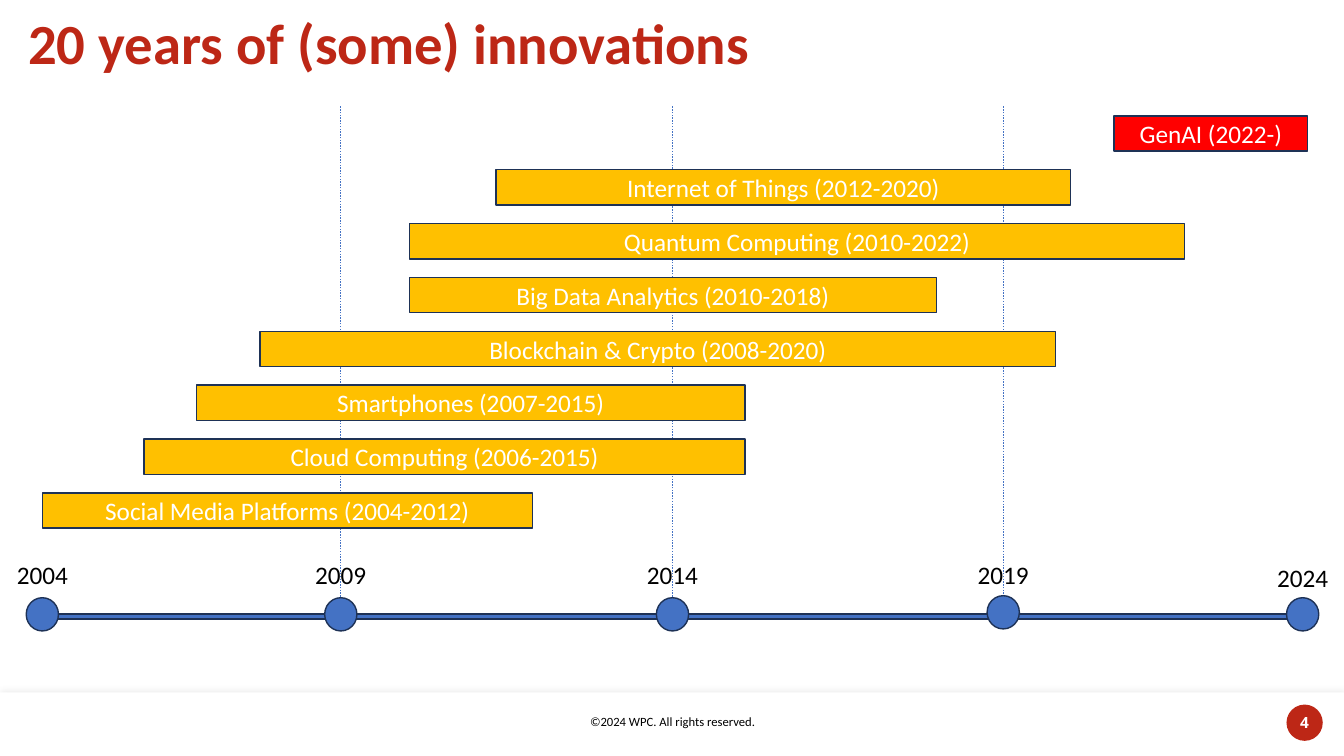
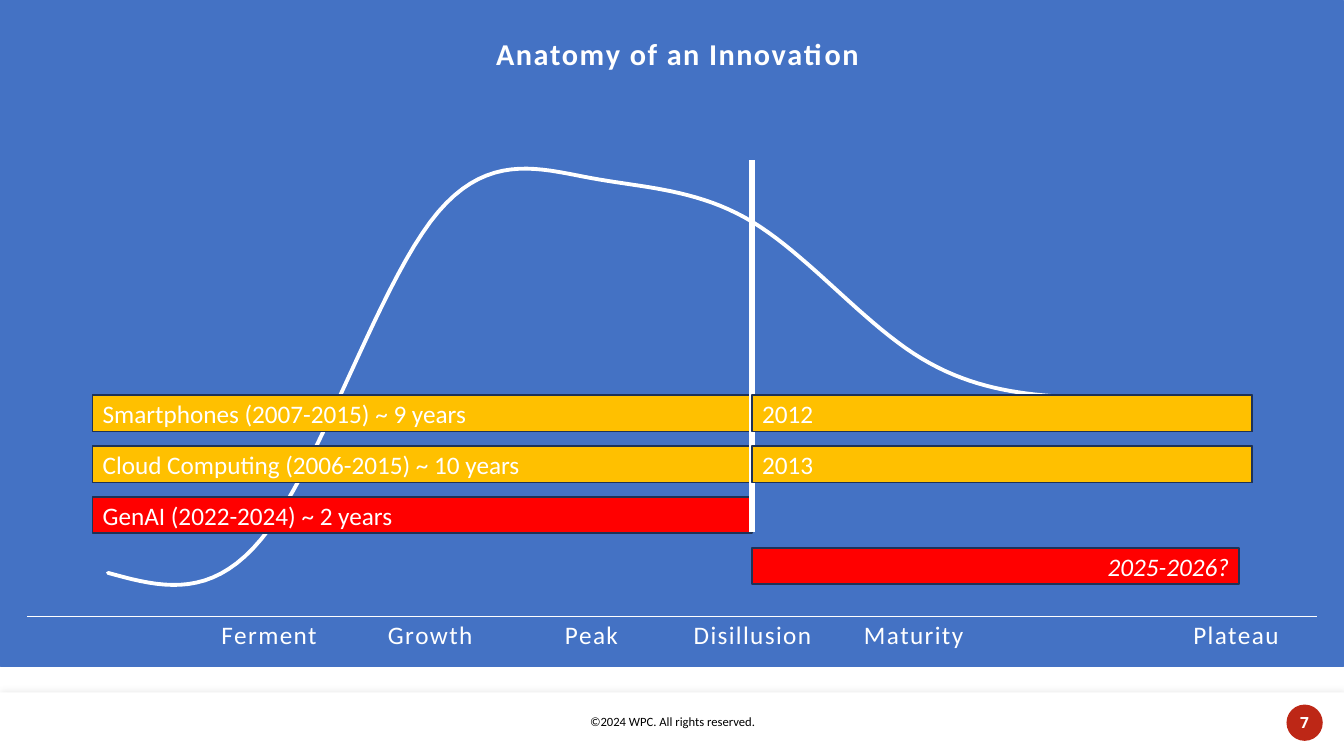
"""Build two slides on the timing of innovations: a timeline and an adoption curve."""
from lxml import etree
from pptx import Presentation
from pptx.chart.data import CategoryChartData
from pptx.dml.color import RGBColor
from pptx.enum import chart as charts, dml, shapes, text
from pptx.oxml import parse_xml
from pptx.oxml.ns import nsdecls, qn
from pptx.util import Inches, Pt

WHITE = RGBColor(0xFF, 0xFF, 0xFF)
BLACK = RGBColor(0, 0, 0)
BRAND = RGBColor(0xBD, 0x27, 0x16)
BLUE = RGBColor(0x44, 0x72, 0xC4)
NAVY = RGBColor(0x1E, 0x32, 0x56)
GOLD = RGBColor(0xFF, 0xC0, 0x00)
RED = RGBColor(0xFF, 0x00, 0x00)

RECT = shapes.MSO_SHAPE.RECTANGLE
OVAL = shapes.MSO_SHAPE.OVAL
LEFT, CENTER, RIGHT = text.PP_ALIGN.LEFT, text.PP_ALIGN.CENTER, text.PP_ALIGN.RIGHT
MIDDLE, TOP = text.MSO_ANCHOR.MIDDLE, text.MSO_ANCHOR.TOP

TITLE_STYLE = {"size": Pt(40.5), "name": "Calibri", "bold": True}
BAR_STYLE = {"size": Pt(18), "name": "Calibri"}
GUESS_STYLE = {**BAR_STYLE, "italic": True}
FOOTER_STYLE = {"size": Pt(9), "name": "Calibri"}
NUMBER_STYLE = {"size": Pt(11), "name": "Open Sans", "bold": True}
CHART_TITLE_STYLE = {"size": Pt(21.6), "name": "Calibri", "bold": True}

FOOTER = "©2024 WPC. All rights reserved."

TIMELINE_TITLE = "20 years of (some) innovations"
MILESTONES = [
    ("2004", 0.42, 5.5, 5.93),
    ("2009", 3.38, 5.5, 5.93),
    ("2014", 6.67, 5.5, 5.93),
    ("2019", 9.95, 5.5, 5.91),
    ("2024", 12.92, 5.53, 5.93),
]
ERAS = [
    ("GenAI (2022-)", 11.05, 1.92, RED),
    ("Internet of Things (2012-2020)", 4.92, 5.7, GOLD),
    ("Quantum Computing (2010-2022)", 4.06, 7.69, GOLD),
    ("Big Data Analytics (2010-2018)", 4.06, 5.23, GOLD),
    ("Blockchain & Crypto (2008-2020)", 2.58, 7.89, GOLD),
    ("Smartphones (2007-2015)", 1.95, 5.44, GOLD),
    ("Cloud Computing (2006-2015)", 1.43, 5.96, GOLD),
    ("Social Media Platforms (2004-2012)", 0.42, 4.86, GOLD),
]
ERA_FIRST, ERA_LAST, ERA_HEIGHT = 1.15, 4.89, 0.35

CURVE_TITLE = "Anatomy of an Innovation"
CURVE = [
    ("", 10), ("Ferment", 20), ("Growth", 90), ("Peak", 100),
    ("Disillusion", 90), ("Maturity", 60), ("", 50), ("Plateau", 50),
]
SPLIT = 7.46
SPAN_LEFT = 0.92
SPANS = [
    ("Smartphones (2007-2015) ~ 9 years", 11.5, GOLD),
    ("Cloud Computing (2006-2015) ~ 10 years", 11.5, GOLD),
    ("GenAI (2022-2024) ~ 2 years", 6.54, RED),
]
TURNS = [
    ("2012", 0, 4.96, GOLD, LEFT, BAR_STYLE),
    ("2013", 1, 4.96, GOLD, LEFT, BAR_STYLE),
    ("2025-2026?", 3, 4.83, RED, RIGHT, GUESS_STYLE),
]
SPAN_TOP, SPAN_STEP, SPAN_HEIGHT = 3.92, 0.505, 0.36


def style_font(font, style, color):
    """Apply a dict of font values and a colour."""
    for name, value in style.items():
        setattr(font, name, value)
    font.color.rgb = color


def write(shape, content, style, color, align=CENTER, anchor=MIDDLE):
    """Put one formatted paragraph in a shape."""
    frame = shape.text_frame
    frame.word_wrap = True
    frame.vertical_anchor = anchor
    para = frame.paragraphs[0]
    para.alignment = align
    span = para.add_run()
    span.text = content
    style_font(span.font, style, color)
    return para


def add_shape(page, kind, box, fill, outline=None):
    """Add a filled shape without a theme shadow."""
    shape = page.shapes.add_shape(kind, *map(Inches, box))
    shape.shadow.inherit = False
    shape.fill.solid()
    shape.fill.fore_color.rgb = fill
    if outline is None:
        shape.line.fill.background()
    else:
        shape.line.color.rgb = outline
        shape.line.width = Pt(1)
    return shape


def add_bar(page, content, box, fill, align=CENTER, style=BAR_STYLE):
    """Add a labelled period bar."""
    write(add_shape(page, RECT, box, fill, NAVY), content, style, WHITE, align)


def add_label(page, content, box, style):
    """Add a centred black text box."""
    label = page.shapes.add_textbox(*map(Inches, box))
    write(label, content, style, BLACK, anchor=TOP)


def add_vertical(page, x, bottom, top, color, width, dash=None):
    """Add a vertical line."""
    line = page.shapes.add_connector(
        shapes.MSO_CONNECTOR.STRAIGHT, *map(Inches, (x, bottom, x, top)))
    line.line.color.rgb = color
    line.line.width = Pt(width)
    if dash is not None:
        line.line.dash_style = dash
    etree.SubElement(line.element.spPr, qn("a:effectLst"))


def add_footer(page, number):
    """Add the footer band, its copyright line and the page number."""
    band = add_shape(page, RECT, (0, 6.87, 13.33, 0.63), WHITE)
    effects = band.element.spPr.find(qn("a:effectLst"))
    effects.append(parse_xml(
        f'<a:outerShdw {nsdecls("a")} blurRad="{Pt(4)}" dist="{Pt(1)}" '
        'dir="16200000" algn="b" rotWithShape="0"><a:srgbClr val="000000">'
        '<a:alpha val="10000"/></a:srgbClr></a:outerShdw>'))
    add_label(page, FOOTER, (5.38, 7.03, 2.58, 0.25), FOOTER_STYLE)
    badge = add_shape(page, OVAL, (12.76, 6.99, 0.36, 0.36), BRAND)
    margins = {"margin_left": 0, "margin_top": 0.05,
               "margin_right": 0, "margin_bottom": 0.06}
    for name, value in margins.items():
        setattr(badge.text_frame, name, Inches(value))
    write(badge, str(number), NUMBER_STYLE, WHITE)


def set_layout(parent, index, **values):
    """Fix the position of a chart part as fractions of the chart."""
    for old in parent.findall(qn("c:layout")):
        parent.remove(old)
    layout = etree.Element(qn("c:layout"))
    manual = etree.SubElement(layout, qn("c:manualLayout"))
    for name, value in values.items():
        etree.SubElement(manual, qn(f"c:{name}")).set("val", str(value))
    parent.insert(index, layout)


def add_curve(page):
    """Add the adoption curve as a smooth line chart."""
    data = CategoryChartData()
    data.categories = [name for name, _ in CURVE]
    data.add_series("Series 1", [value for _, value in CURVE])
    chart = page.shapes.add_chart(
        charts.XL_CHART_TYPE.LINE, *map(Inches, (0, 0, 13.33, 6.62)), data).chart
    chart.has_legend = False
    style_font(chart.font, BAR_STYLE, BLACK)

    chart.has_title = True
    span = chart.chart_title.text_frame.paragraphs[0].add_run()
    span.text = CURVE_TITLE
    style_font(span.font, CHART_TITLE_STYLE, WHITE)

    stages, values = chart.category_axis, chart.value_axis
    stages.major_tick_mark = stages.minor_tick_mark = charts.XL_TICK_MARK.NONE
    stages.format.line.color.rgb = WHITE
    stages.format.line.width = Pt(1)
    style_font(stages.tick_labels.font, BAR_STYLE, WHITE)
    values.minimum_scale, values.maximum_scale = 0, 120
    values.has_major_gridlines = False
    values.visible = False

    series = chart.plots[0].series[0]
    series.smooth = True
    series.marker.style = charts.XL_MARKER_STYLE.NONE
    series.format.line.color.rgb = WHITE
    series.format.line.width = Pt(2.75)
    next(series.format.line.fill._xPr.iter(qn("a:ln"))).set("cap", "rnd")

    body = chart.element.find(qn("c:chart"))
    title, plot = body.find(qn("c:title")), body.find(qn("c:plotArea"))
    set_layout(title, 1, xMode="edge", yMode="edge", x=0.365, y=0.04)
    set_layout(plot, 0, layoutTarget="inner", xMode="edge", yMode="edge",
               x=0.02, y=0.135, w=0.96, h=0.79)
    next(title.iter(qn("a:rPr"))).set("spc", "100")
    next(plot.find(qn("c:catAx")).iter(qn("a:defRPr"))).set("spc", "100")
    paint = f'<a:solidFill><a:srgbClr val="{BLUE}"/></a:solidFill>'
    body.addnext(parse_xml(
        f'<c:spPr {nsdecls("c", "a")}>{paint}'
        f'<a:ln w="{Pt(0.75)}">{paint}</a:ln></c:spPr>'))


def build_timeline(deck):
    """Build the timeline slide."""
    page = deck.slides.add_slide(deck.slide_layouts[5])
    add_footer(page, 4)
    for _, x, _, _ in MILESTONES[1:-1]:
        add_vertical(page, x, 6.14, 1.05, BLUE, 1, dml.MSO_LINE.ROUND_DOT)
    title = page.shapes.title
    title.left, title.top, title.width, title.height = map(
        Inches, (0.18, 0.17, 11.33, 0.58))
    write(title, TIMELINE_TITLE, TITLE_STYLE, BRAND, LEFT).line_spacing = 0.9

    first, last = MILESTONES[0][1], MILESTONES[-1][1]
    add_shape(page, RECT, (first, 6.09, last - first, 0.05), BLUE, NAVY)
    for year, x, label_top, dot_top in MILESTONES:
        add_shape(page, OVAL, (x - 0.16, dot_top, 0.32, 0.33), BLUE, NAVY)
        add_label(page, year, (x - 0.37, label_top, 0.74, 0.4), BAR_STYLE)

    step = (ERA_LAST - ERA_FIRST) / (len(ERAS) - 1)
    for row, (name, left, width, fill) in enumerate(ERAS):
        add_bar(page, name, (left, ERA_FIRST + row * step, width, ERA_HEIGHT), fill)


def build_anatomy(deck):
    """Build the adoption curve slide."""
    page = deck.slides.add_slide(deck.slide_layouts[6])
    add_footer(page, 7)
    add_curve(page)
    for row, (name, width, fill) in enumerate(SPANS):
        top = SPAN_TOP + row * SPAN_STEP
        add_bar(page, name, (SPAN_LEFT, top, width, SPAN_HEIGHT), fill, LEFT)
    add_vertical(page, SPLIT, 5.28, 1.59, WHITE, 4.5)
    for name, row, width, fill, align, style in TURNS:
        top = SPAN_TOP + row * SPAN_STEP
        add_bar(page, name, (SPLIT, top, width, SPAN_HEIGHT), fill, align, style)


def main():
    """Build and save the deck."""
    deck = Presentation()
    deck.slide_width, deck.slide_height = Inches(13.33), Inches(7.5)
    build_timeline(deck)
    build_anatomy(deck)
    deck.save("out.pptx")


if __name__ == "__main__":
    main()
